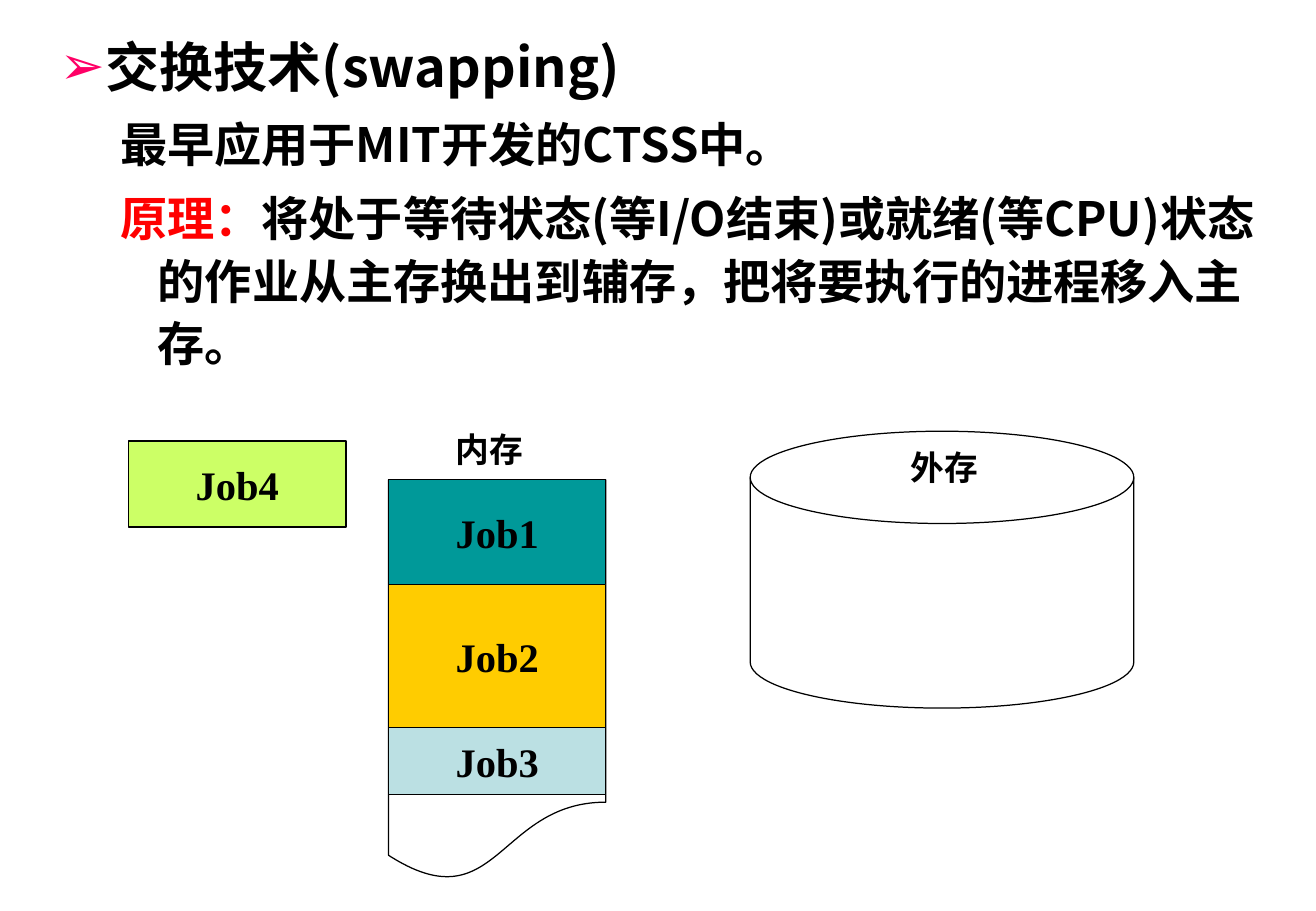
from lxml.etree import SubElement
from pptx import Presentation
from pptx.dml.color import RGBColor
from pptx.enum.shapes import MSO_SHAPE
from pptx.enum.text import MSO_ANCHOR, MSO_AUTO_SIZE, PP_ALIGN
from pptx.oxml.ns import qn
from pptx.util import Inches, Pt

BLACK = RGBColor(0x00, 0x00, 0x00)
WHITE = RGBColor(0xFF, 0xFF, 0xFF)
RED = RGBColor(0xFF, 0x00, 0x00)
PINK = RGBColor(0xFF, 0x00, 0x66)
TEAL = RGBColor(0x00, 0x99, 0x99)
AMBER = RGBColor(0xFF, 0xCC, 0x00)
PALE_BLUE = RGBColor(0xBB, 0xE0, 0xE3)
LIME = RGBColor(0xCC, 0xFF, 0x66)

BODY_FONT = "Noto Sans CJK SC"
LABEL_FONT = "Times New Roman"
JOB_WIDTH = 1.79

PARAGRAPHS = [
    (0, 32, 0.38, -0.38, 0, [("交换技术(swapping)", BLACK)]),
    (1, 28, 0.81, -0.31, 7, [("最早应用于MIT开发的CTSS中。", BLACK)]),
    (1, 28, 0.81, -0.31, 7, [
        ("原理：", RED),
        ("将处于等待状态(等I/O结束)或就绪(等CPU)状态的作业从主存换出到辅存，"
         "把将要执行的进程移入主存。", BLACK),
    ]),
]
MEMORY_JOBS = [("Job1", 0.86, TEAL), ("Job2", 1.18, AMBER), ("Job3", 0.55, PALE_BLUE)]


def add_span(para, text, size, color, font_name):
    span = para.add_run()
    span.text = text
    span.font.size = Pt(size)
    span.font.bold = True
    span.font.name = font_name
    span.font.color.rgb = color
    SubElement(span.font._element, qn("a:ea"), typeface=BODY_FONT)


def set_bullet(para, level):
    properties = para._p.get_or_add_pPr()
    if level:
        SubElement(properties, qn("a:buNone"))
        return
    bullet_color = SubElement(properties, qn("a:buClr"))
    SubElement(bullet_color, qn("a:srgbClr"), val=str(PINK))
    SubElement(properties, qn("a:buChar"), char="➢")


def write_centered(frame, text, size):
    frame.word_wrap = False
    para = frame.paragraphs[0]
    para.alignment = PP_ALIGN.CENTER
    add_span(para, text, size, BLACK, LABEL_FONT)


def add_outlined(page, kind, left, top, width, height, fill):
    shape = page.shapes.add_shape(kind, Inches(left), Inches(top), Inches(width), Inches(height))
    shape.shadow.inherit = False
    shape.fill.solid()
    shape.fill.fore_color.rgb = fill
    shape.line.color.rgb = BLACK
    shape.line.width = Pt(0.75)
    return shape


def add_job(page, name, left, top, height, fill):
    job = add_outlined(page, MSO_SHAPE.RECTANGLE, left, top, JOB_WIDTH, height, fill)
    job.text_frame.vertical_anchor = MSO_ANCHOR.MIDDLE
    write_centered(job.text_frame, name, 24)


def add_label(page, text, left, top):
    box = page.shapes.add_textbox(Inches(left), Inches(top), Inches(0.8), Inches(0.44))
    box.text_frame.auto_size = MSO_AUTO_SIZE.SHAPE_TO_FIT_TEXT
    write_centered(box.text_frame, text, 20)


def fill_body(body, left, top, width, height):
    body.left, body.top = Inches(left), Inches(top)
    body.width, body.height = Inches(width), Inches(height)
    frame = body.text_frame
    frame.word_wrap = True
    frame.auto_size = MSO_AUTO_SIZE.NONE
    frame.vertical_anchor = MSO_ANCHOR.TOP
    for index, (level, size, margin, indent, before, spans) in enumerate(PARAGRAPHS):
        para = frame.add_paragraph() if index else frame.paragraphs[0]
        para.level = level
        para.line_spacing = 1.1
        para.space_before = Pt(before)
        properties = para._p.get_or_add_pPr()
        properties.set("marL", str(Inches(margin)))
        properties.set("indent", str(Inches(indent)))
        set_bullet(para, level)
        for text, color in spans:
            add_span(para, text, size, color, BODY_FONT)


def add_memory(page, left, top, height):
    add_outlined(page, MSO_SHAPE.FLOWCHART_DOCUMENT, left, top, JOB_WIDTH, height, WHITE)
    add_label(page, "内存", left + 0.43, top - 0.47)
    for name, job_height, fill in MEMORY_JOBS:
        add_job(page, name, left, top, job_height, fill)
        top += job_height


def add_disk(page, left, top, width, height):
    add_outlined(page, MSO_SHAPE.FLOWCHART_MAGNETIC_DISK, left, top, width, height, WHITE)
    add_label(page, "外存", left + 1.2, top + 0.08)


def main():
    deck = Presentation()
    deck.slide_width, deck.slide_height = Inches(10.84), Inches(7.5)
    page = deck.slides.add_slide(deck.slide_layouts[1])
    title = page.shapes.title._element
    title.getparent().remove(title)
    fill_body(page.placeholders[1], 0.39, 0.17, 10.17, 3.01)
    add_memory(page, 3.2, 3.95, 3.31)
    add_disk(page, 6.18, 3.55, 3.16, 2.28)
    add_job(page, "Job4", 1.06, 3.63, 0.71, LIME)
    deck.save("out.pptx")


if __name__ == "__main__":
    main()
